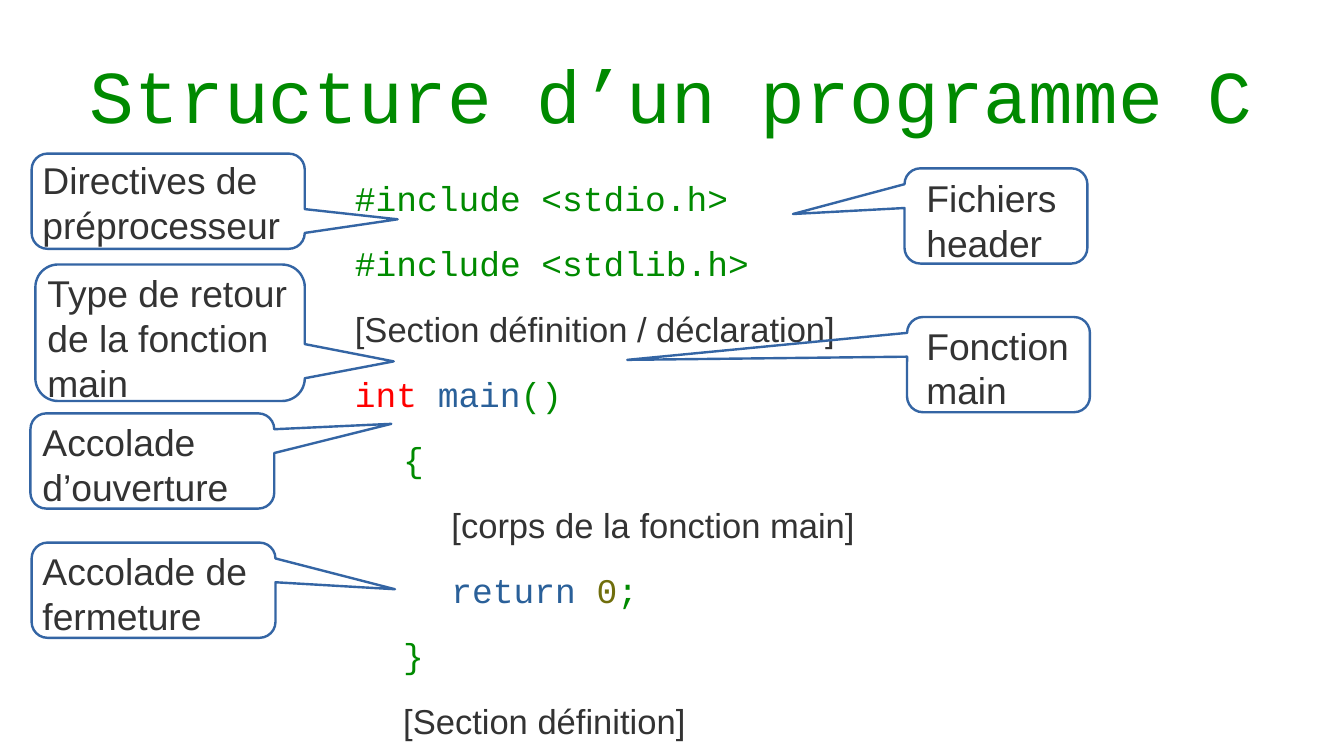
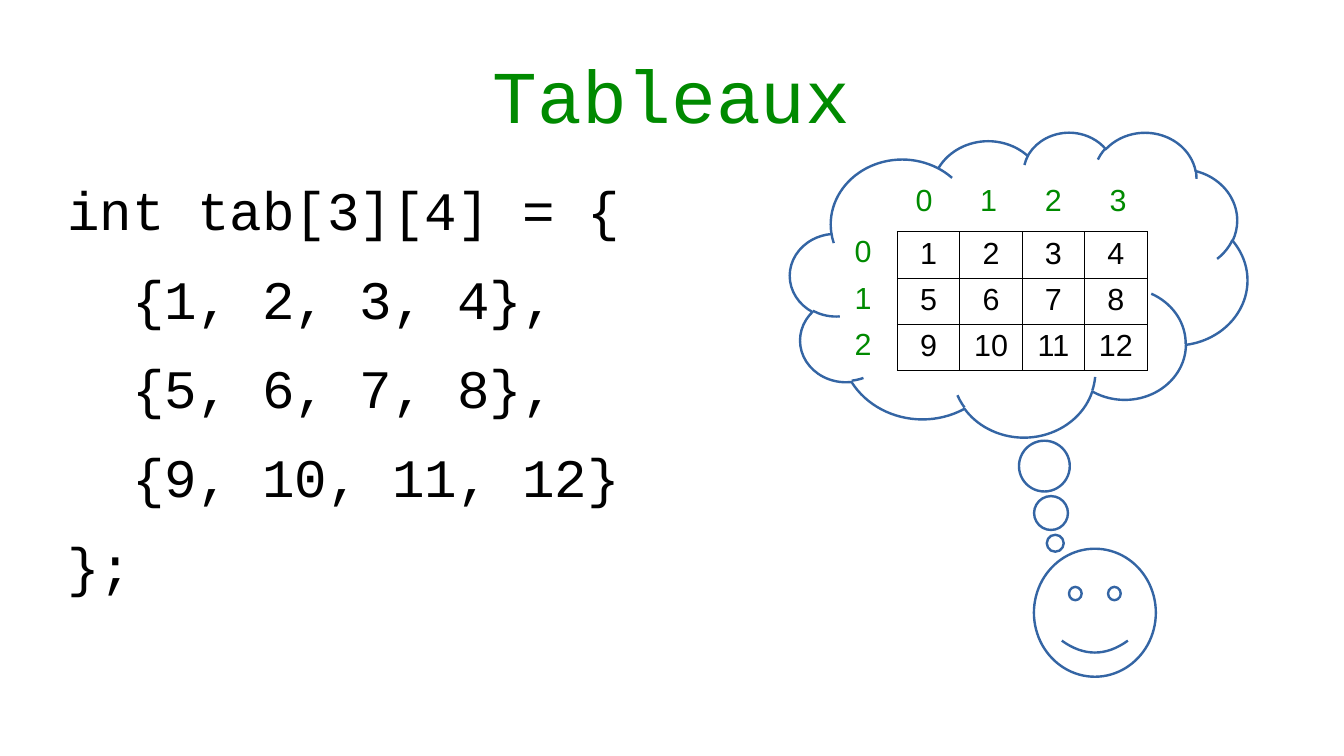
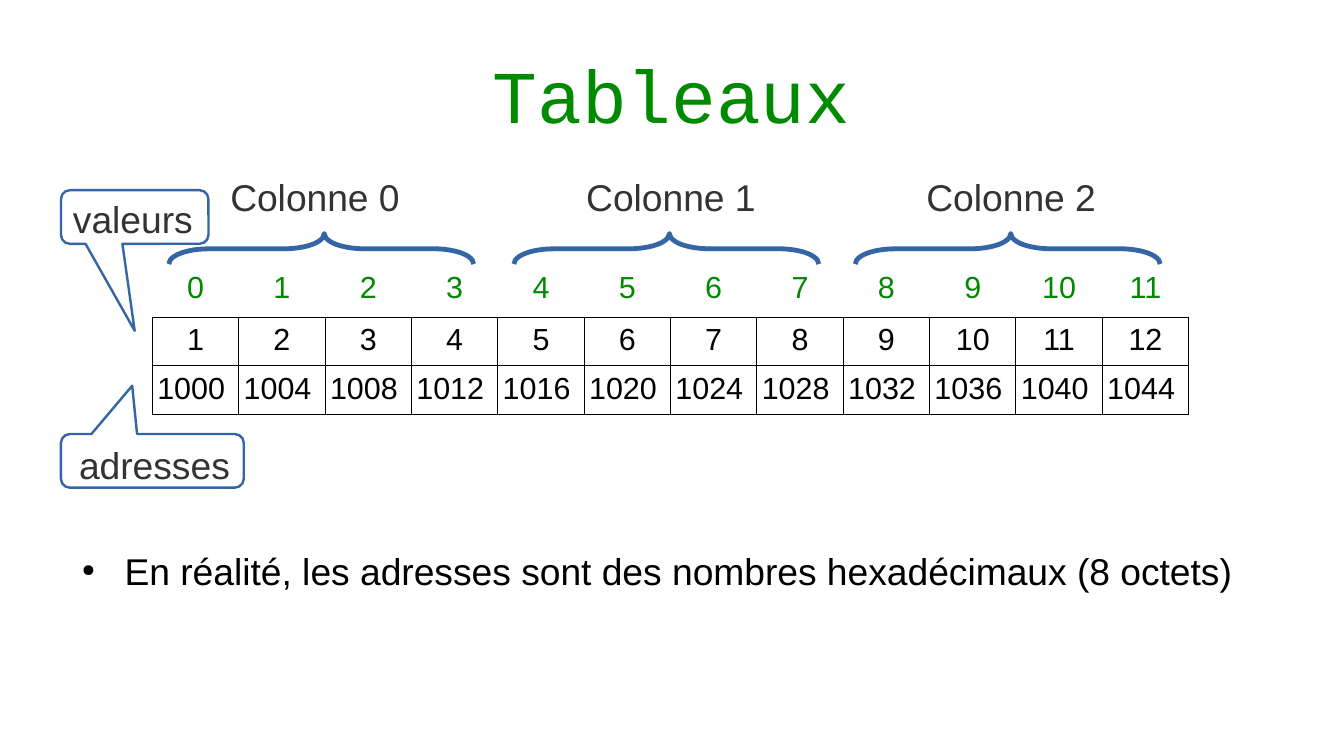
import lxml.etree
import pptx
import pptx.dml.color
import pptx.enum.shapes
import pptx.enum.text
import pptx.oxml.ns
import pptx.util

Pt = pptx.util.Pt
RGBColor = pptx.dml.color.RGBColor
Shapes = pptx.enum.shapes.MSO_SHAPE
Align = pptx.enum.text.PP_ALIGN
Anchor = pptx.enum.text.MSO_ANCHOR
qn = pptx.oxml.ns.qn

GREEN = RGBColor(0x00, 0x8A, 0x00)
BLACK = RGBColor(0x00, 0x00, 0x00)
GREY = RGBColor(0x33, 0x33, 0x33)
RED = RGBColor(0xFF, 0x00, 0x00)
BLUE = RGBColor(0x2A, 0x60, 0x99)
OLIVE = RGBColor(0x70, 0x6E, 0x0C)
OUTLINE = RGBColor(0x34, 0x65, 0xA4)

TITLE = {"name": "Courier New", "size": Pt(44)}
CODE = {"name": "Courier New", "size": Pt(20.4)}
CODE_PROSE = {"name": "Arial", "size": Pt(20.4)}
LARGE_CODE = {"name": "Courier New", "size": Pt(32)}
LABEL = {"name": "Arial", "size": Pt(22)}
CELL = {"name": "Arial", "size": Pt(18)}

LABEL_INSETS = (7.2, 3.6)
BODY_LEFT, BODY_TOP, BODY_WIDTH = 39.6, 104.4, 714.2


def add_text(slide, box, paragraphs, insets=(0, 0), alignment=Align.LEFT, anchor=Anchor.TOP):
    """Add a text box; each paragraph is (indent, [(text, format, colour), ...])."""
    frame = slide.shapes.add_textbox(*map(Pt, box)).text_frame
    horizontal, vertical = map(Pt, insets)
    values = {
        "word_wrap": True, "vertical_anchor": anchor,
        "margin_left": horizontal, "margin_right": horizontal,
        "margin_top": vertical, "margin_bottom": vertical,
    }
    for name, value in values.items():
        setattr(frame, name, value)
    for index, (indent, runs) in enumerate(paragraphs):
        paragraph = frame.add_paragraph() if index else frame.paragraphs[0]
        paragraph.alignment = alignment
        paragraph.space_before = Pt(14.1 if index else 0)
        if indent:
            paragraph._p.get_or_add_pPr().set("marL", str(Pt(indent)))
        for text, text_format, colour in runs:
            run = paragraph.add_run()
            run.text = text
            for name, value in text_format.items():
                setattr(run.font, name, value)
            run.font.color.rgb = colour
    return frame


def add_table(slide, position, cell_size, rows, colour, alignments, ruled=False, inset=3.6):
    """Add an unfilled table with equal cells and one alignment per row."""
    left, top = position
    width, height = cell_size
    row_count, column_count = len(rows), len(rows[0])
    table = slide.shapes.add_table(
        row_count, column_count, Pt(left), Pt(top),
        Pt(width * column_count), Pt(height * row_count)).table
    table.first_row = table.horz_banding = False
    for column in table.columns:
        column.width = Pt(width)
    for row, values, alignment in zip(table.rows, rows, alignments):
        row.height = Pt(height)
        for cell, value in zip(row.cells, values):
            cell.margin_left = cell.margin_right = Pt(2.9)
            cell.margin_top = cell.margin_bottom = Pt(inset)
            cell.text = str(value)
            paragraph = cell.text_frame.paragraphs[0]
            paragraph.alignment = alignment
            for name, setting in CELL.items():
                setattr(paragraph.runs[0].font, name, setting)
            paragraph.runs[0].font.color.rgb = colour
            properties = cell._tc.get_or_add_tcPr()
            for side in ("a:lnL", "a:lnR", "a:lnT", "a:lnB"):
                border = lxml.etree.SubElement(properties, qn(side), w=str(Pt(0.57)))
                if ruled:
                    fill = lxml.etree.SubElement(border, qn("a:solidFill"))
                    lxml.etree.SubElement(fill, qn("a:srgbClr"), val=str(BLACK))
                else:
                    lxml.etree.SubElement(border, qn("a:noFill"))
            cell.fill.background()


presentation = pptx.Presentation()
presentation.slide_width = Pt(793.7)
presentation.slide_height = Pt(446.4)

slides = []
for title in ("Structure d’un programme C", "Tableaux", "Tableaux"):
    slide = presentation.slides.add_slide(presentation.slide_layouts[6])
    add_text(slide, (BODY_LEFT, 18, BODY_WIDTH, 74.9), [(0, [(title, TITLE, GREEN)])],
             alignment=Align.CENTER, anchor=Anchor.MIDDLE)
    slides.append(slide)
structure_slide, matrix_slide, memory_slide = slides

# Program structure
program = [
    (170, [("#include <stdio.h>", CODE, GREEN)]),
    (170, [("#include <stdlib.h>", CODE, GREEN)]),
    (170, [("[Section définition / déclaration]", CODE_PROSE, GREY)]),
    (170, [("int ", CODE, RED), ("main", CODE, BLUE), ("()", CODE, GREEN)]),
    (198.5, [("{", CODE, GREEN)]),
    (227, [("[corps de la fonction main]", CODE_PROSE, GREY)]),
    (227, [("return ", CODE, BLUE), ("0", CODE, OLIVE), (";", CODE, GREEN)]),
    (198.5, [("}", CODE, GREEN)]),
    (198.5, [("[Section définition]", CODE_PROSE, GREY)]),
]
add_text(structure_slide, (BODY_LEFT, BODY_TOP, BODY_WIDTH, 291.6), program)

# Initialised array and its picture in the mind
array_lines = ["int tab[3][4] = {", "  {1, 2, 3, 4},", "  {5, 6, 7, 8},", "  {9, 10, 11, 12}", "};"]
add_text(matrix_slide, (BODY_LEFT, BODY_TOP, BODY_WIDTH, 259.2),
         [(0, [(line, LARGE_CODE, BLACK)]) for line in array_lines])
matrix = [range(start, start + 4) for start in (1, 5, 9)]
add_table(matrix_slide, (529.9, 136.8), (36.9, 27.36), matrix, BLACK,
          [Align.CENTER] * 3, ruled=True, inset=2.8)
add_table(matrix_slide, (537.8, 105.8), (38.2, 27.36), [range(4)], GREEN, [Align.LEFT], inset=2.8)
add_table(matrix_slide, (501.8, 136.1), (18.7, 27.36), [[row] for row in range(3)], GREEN,
          [Align.LEFT] * 3, inset=2.8)

# Array in memory
add_table(memory_slide, (90, 187.2), (51, 27.36), [range(1, 13), range(1000, 1048, 4)], BLACK,
          [Align.CENTER, Align.LEFT], ruled=True)
add_table(memory_slide, (90, 156.2), (51, 27.36), [range(12)], GREEN, [Align.CENTER])

note = add_text(memory_slide, (BODY_LEFT, 324, BODY_WIDTH, 39.6), [
    (34, [("En réalité, les adresses sont des nombres hexadécimaux (8 octets)", LABEL, BLACK)])])
note_properties = note.paragraphs[0]._p.get_or_add_pPr()
note_properties.set("indent", str(Pt(-25.2)))
lxml.etree.SubElement(note_properties, qn("a:buSzPct"), val="45000")
lxml.etree.SubElement(note_properties, qn("a:buChar"), char="●")

# Labels: slide, text, box
labels = [
    (structure_slide, "Directives de préprocesseur", (18, 89.3, 162, 56.2)),
    (structure_slide, "Type de retour de la fonction main", (20.9, 156.2, 162, 80.6)),
    (structure_slide, "Accolade d’ouverture", (18, 244.1, 162, 56.2)),
    (structure_slide, "Accolade de fermeture", (18, 320.4, 162, 56.2)),
    (structure_slide, "Fichiers header", (540, 100.1, 162, 56.2)),
    (structure_slide, "Fonction main", (540, 187.2, 144, 56.2)),
    (memory_slide, "Colonne 0", (128.9, 99.4, 126, 31.7)),
    (memory_slide, "Colonne 1", (339.1, 99.4, 126, 31.7)),
    (memory_slide, "Colonne 2", (540, 99.4, 126, 31.7)),
    (memory_slide, "valeurs", (36, 112.3, 126, 31.7)),
    (memory_slide, "adresses", (39.6, 257.8, 126, 31.7)),
]
for slide, text, box in labels:
    add_text(slide, box, [(0, [(text, LABEL, GREY)])], LABEL_INSETS)

# Outlines: slide, kind, box, adjustments
CALLOUT = Shapes.ROUNDED_RECTANGULAR_CALLOUT
outlines = [
    (structure_slide, CALLOUT, (18.7, 90.7, 161.3, 56.2), (0.84, 0.19)),
    (structure_slide, CALLOUT, (20.9, 156.2, 159.1, 80.6), (0.83, 0.21)),
    (structure_slide, CALLOUT, (18, 244.1, 144, 56.2), (0.98, -0.39)),
    (structure_slide, CALLOUT, (18.7, 320.4, 144, 56.2), (0.99, -0.01)),
    (structure_slide, CALLOUT, (534.2, 99.4, 108, 56.2), (-1.11, -0.02)),
    (structure_slide, CALLOUT, (535.7, 187.2, 108, 56.2), (-2.03, -0.05)),
    (matrix_slide, Shapes.SMILEY_FACE, (610.6, 324, 72, 75.6), ()),
    (matrix_slide, Shapes.CLOUD_CALLOUT, (466.6, 77.8, 270, 180), (0.08, 0.85)),
    (memory_slide, CALLOUT, (36, 112.3, 87.1, 31.7), (0, 2.12)),
    (memory_slide, CALLOUT, (36, 256.3, 108, 31.7), (-0.11, -1.4)),
]
for brace_left in (180.7, 384.5, 586.1):
    outlines.append((memory_slide, Shapes.LEFT_BRACE, (brace_left, 56.9, 18, 180), (1.31, 0.49)))

for slide, kind, box, adjustments in outlines:
    shape = slide.shapes.add_shape(kind, *map(Pt, box))
    for index, value in enumerate(adjustments):
        shape.adjustments[index] = value
    is_brace = kind == Shapes.LEFT_BRACE
    shape.rotation = 90 if is_brace else 0
    shape.shadow.inherit = False
    shape.fill.background()
    shape.line.color.rgb = OUTLINE
    shape.line.width = Pt(2.83 if is_brace else 1.42)

presentation.save("out.pptx")
